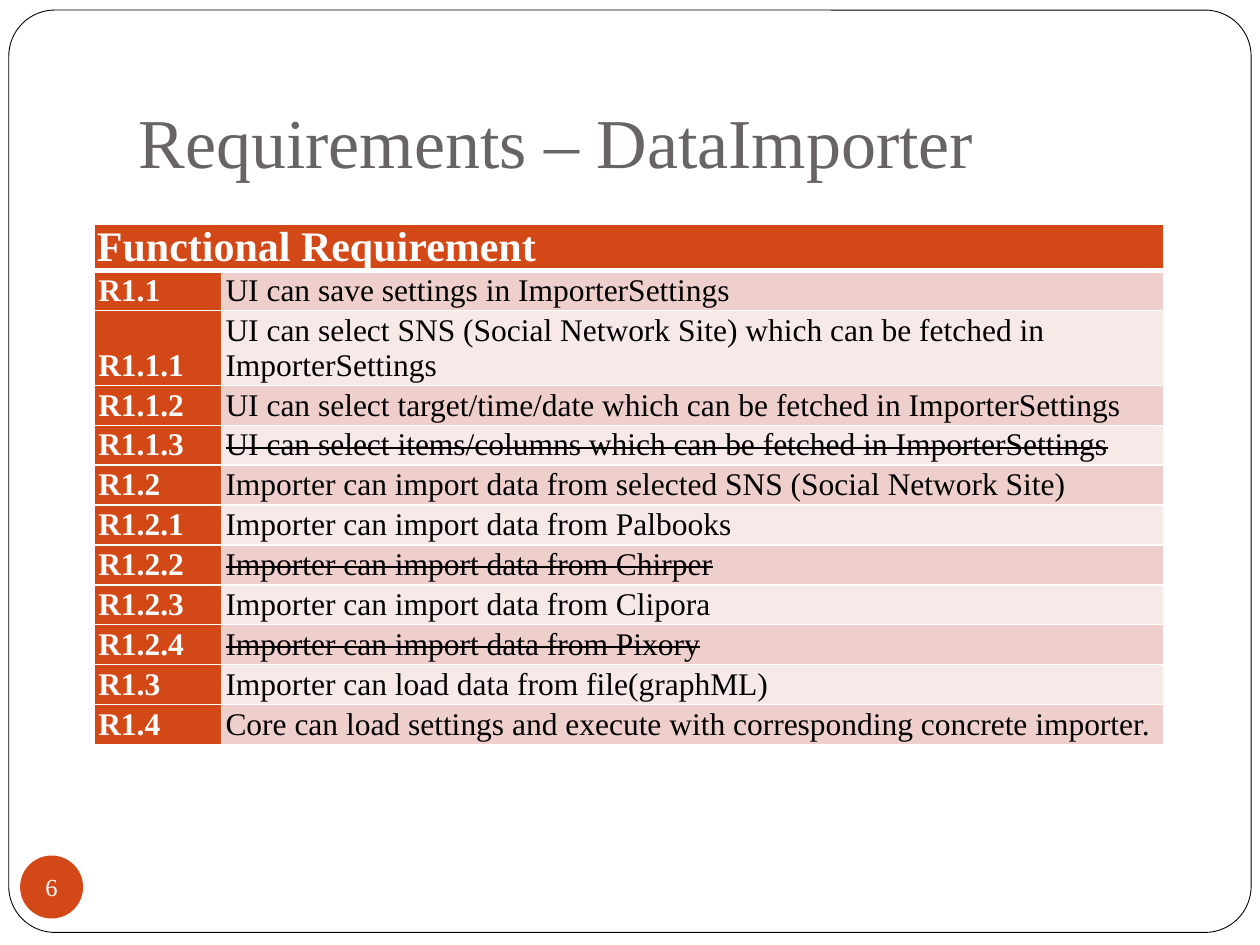
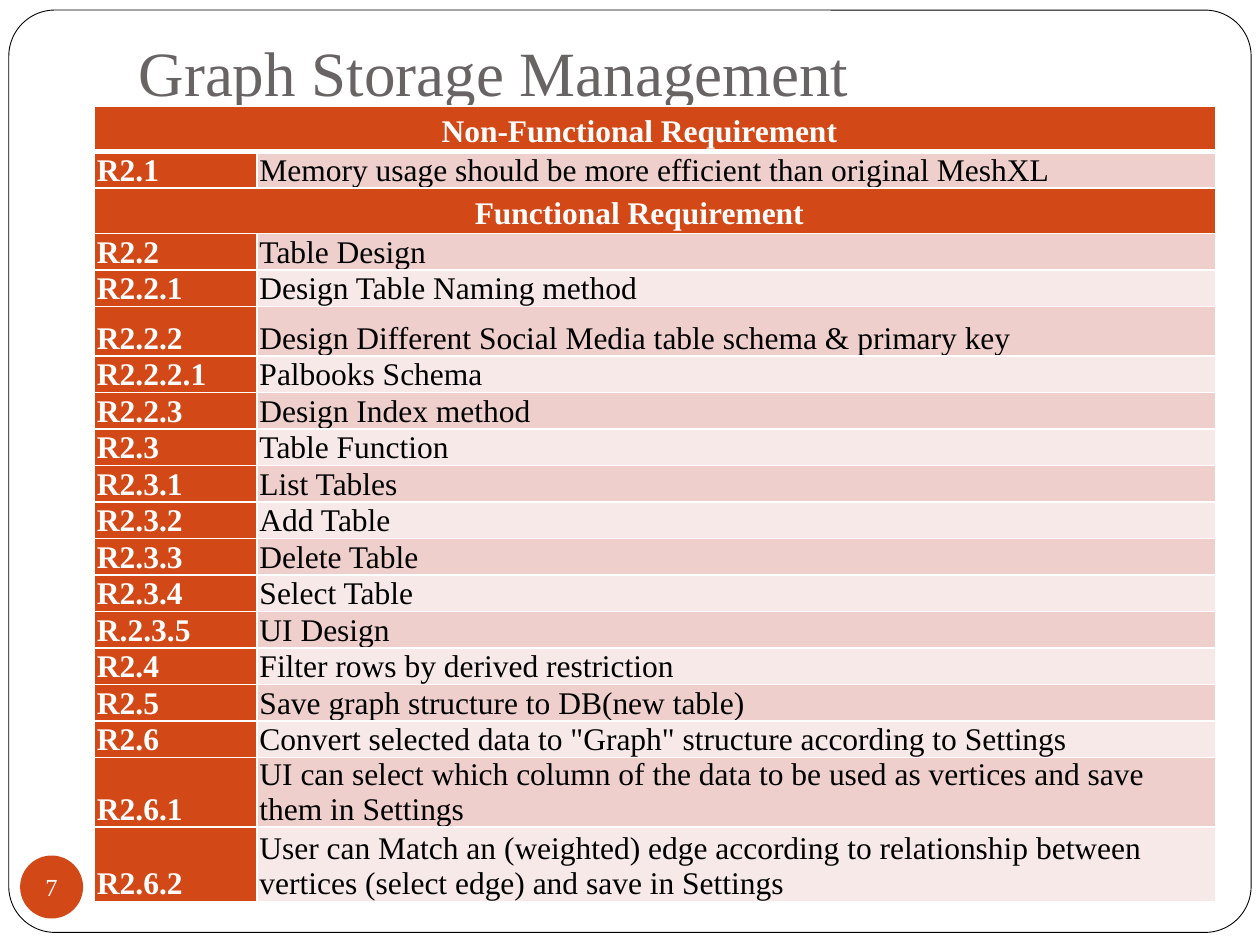
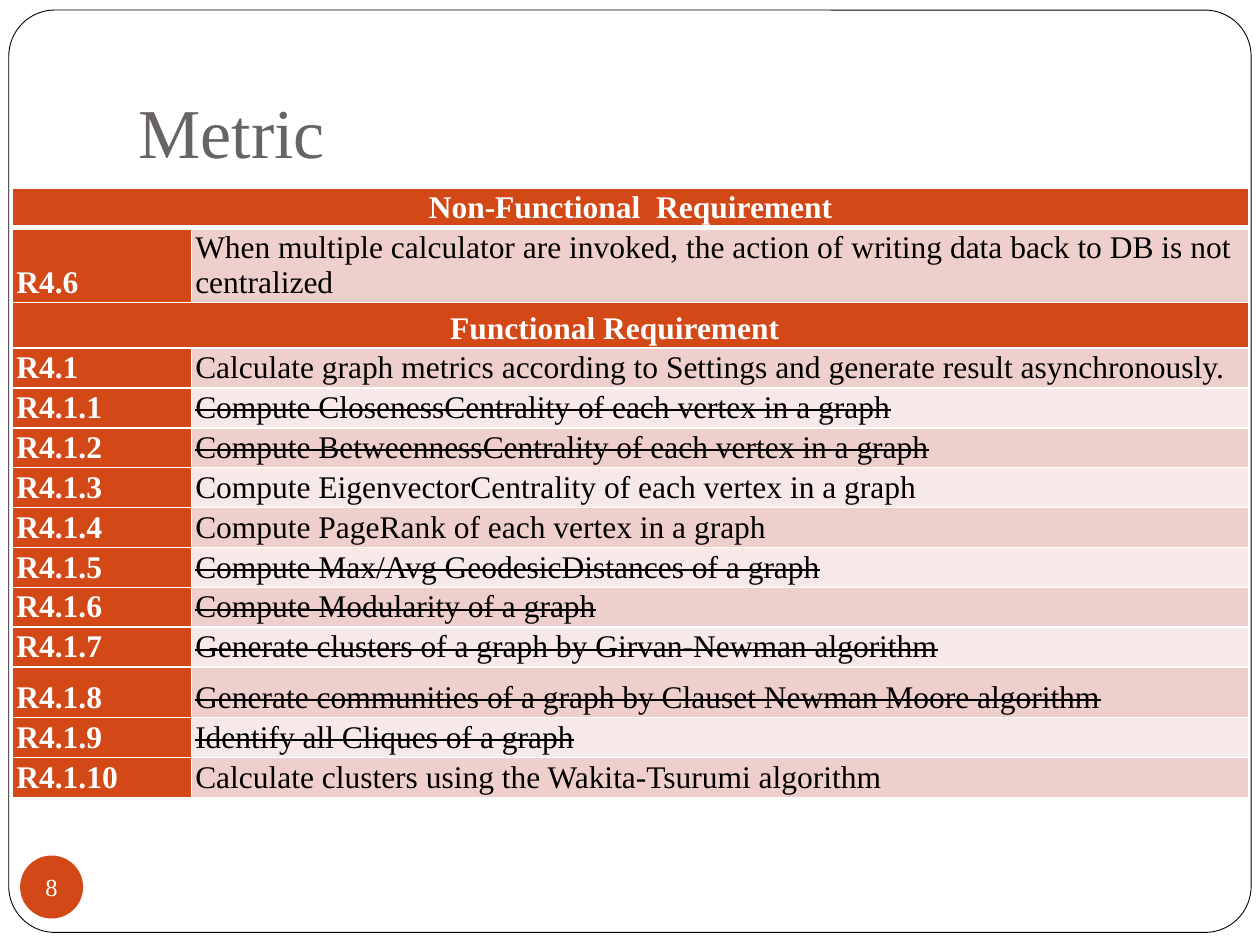
from dataclasses import dataclass

from lxml.etree import SubElement
from pptx import Presentation
from pptx.dml.color import RGBColor
from pptx.enum.shapes import MSO_SHAPE as Preset
from pptx.enum.text import MSO_ANCHOR as Anchor, MSO_AUTO_SIZE as AutoSize, PP_ALIGN as Align
from pptx.oxml.ns import qn
from pptx.util import Inches, Pt


# Theme
class Theme:
    font = "Times New Roman"
    accent, white, black, title = "D34817", "FFFFFF", "000000", "696464"
    bands = ("F7E9E8", "EFCFCC")
    table_size, number_size = 18, 14
    thin, thick = 1, 3


TIGHT, LOOSE = (0.02, 0), (0.03, 0.02)  # cell insets: sides, top and bottom


@dataclass
class Banner:
    text: str
    height: float = 0.36
    pad: tuple = TIGHT
    size: int = Theme.table_size
    align: Align = Align.CENTER


@dataclass
class Row:
    code: str
    text: str
    struck: bool = False
    height: float = 0.29


@dataclass
class Sheet:
    number: int
    title: str
    title_top: float
    title_size: int
    title_gap: float  # space below the title inside its box
    corner: tuple
    columns: tuple
    pad: tuple
    rows: list


# Content
IMPORTER_ROWS = [
    Banner("Functional Requirement", size=24, align=Align.LEFT),
    Row("R1.1", "UI can save settings in ImporterSettings"),
    Row("R1.1.1", "UI can select SNS (Social Network Site) which can be fetched in ImporterSettings"),
    Row("R1.1.2", "UI can select target/time/date which can be fetched in ImporterSettings"),
    Row("R1.1.3", "UI can select items/columns which can be fetched in ImporterSettings", True),
    Row("R1.2", "Importer can import data from selected SNS (Social Network Site)"),
    Row("R1.2.1", "Importer can import data from Palbooks"),
    Row("R1.2.2", "Importer can import data from Chirper", True),
    Row("R1.2.3", "Importer can import data from Clipora"),
    Row("R1.2.4", "Importer can import data from Pixory", True),
    Row("R1.3", "Importer can load data from file(graphML)"),
    Row("R1.4", "Core can load settings and execute with corresponding concrete importer."),
]
STORAGE_ROWS = [
    Banner("Non-Functional Requirement　"),
    Row("R2.1", "Memory usage should be more efficient than original MeshXL"),
    Banner("Functional Requirement　"),
    Row("R2.2", "Table Design"),
    Row("R2.2.1", "Design Table Naming method"),
    Row("R2.2.2", "Design Different Social Media table schema & primary key", height=0.39),
    Row("R2.2.2.1", "Palbooks Schema"),
    Row("R2.2.3", "Design Index method"),
    Row("R2.3", "Table Function"),
    Row("R2.3.1", "List Tables"),
    Row("R2.3.2", "Add Table"),
    Row("R2.3.3", "Delete Table"),
    Row("R2.3.4", "Select Table"),
    Row("R.2.3.5", "UI Design"),
    Row("R2.4", "Filter rows by derived restriction"),
    Row("R2.5", "Save graph structure to DB(new table)"),
    Row("R2.6", 'Convert selected data to "Graph" structure according to Settings'),
    Row("R2.6.1", "UI can select which column of the data to be used as vertices and save them in Settings"),
    Row("R2.6.2", "User can Match an (weighted) edge according to relationship between vertices "
        "(select edge) and save in Settings", height=0.59),
]
METRIC_ROWS = [
    Banner("Non-Functional  Requirement", height=0.3, pad=LOOSE),
    Row("R4.6", "When multiple calculator are invoked, the action of writing data back to DB "
        "is not centralized"),
    Banner("Functional Requirement　"),
    Row("R4.1", "Calculate graph metrics according to Settings and generate result asynchronously."),
    Row("R4.1.1", "Compute ClosenessCentrality of each vertex in a graph", True),
    Row("R4.1.2", "Compute BetweennessCentrality of each vertex in a graph", True),
    Row("R4.1.3", "Compute EigenvectorCentrality of each vertex in a graph"),
    Row("R4.1.4", "Compute PageRank of each vertex in a graph"),
    Row("R4.1.5", "Compute Max/Avg GeodesicDistances of a graph", True),
    Row("R4.1.6", "Compute Modularity of a graph", True),
    Row("R4.1.7", "Generate clusters of a graph by Girvan-Newman algorithm", True),
    Row("R4.1.8", "Generate communities of a graph by Clauset Newman Moore algorithm", True, 0.4),
    Row("R4.1.9", "Identify all Cliques of a graph", True),
    Row("R4.1.10", "Calculate clusters using the Wakita-Tsurumi algorithm"),
]
SHEETS = [
    Sheet(6, "Requirements – DataImporter", 0.3, 40, 0.1, (0.75, 1.78), (1.01, 7.48), LOOSE, IMPORTER_ROWS),
    Sheet(7, "Graph Storage Management", 0.3, 36, 0.68, (0.75, 0.84), (1.29, 7.61), TIGHT, STORAGE_ROWS),
    Sheet(8, "Metric", 0.22, 40, 0.1, (0.1, 1.49), (1.42, 8.39), LOOSE, METRIC_ROWS),
]


# Helpers
def colour(value):
    return RGBColor.from_string(value)


def paint(item, value):
    item.fill.solid()
    item.fill.fore_color.rgb = colour(value)


def write(para, text, size, ink, bold=False, struck=False, align=Align.LEFT):
    para.alignment = align
    span = para.add_run()
    span.text = text
    span.font.name, span.font.size, span.font.bold = Theme.font, Pt(size), bold
    span.font.color.rgb = colour(ink)
    if struck:
        span._r.get_or_add_rPr().set("strike", "sngStrike")


def set_margins(box, left, top, right, bottom):
    box.margin_left, box.margin_top = Inches(left), Inches(top)
    box.margin_right, box.margin_bottom = Inches(right), Inches(bottom)


def add_preset(page, preset, at, fill):
    shape = page.shapes.add_shape(preset, *map(Inches, at))
    shape.shadow.inherit = False
    paint(shape, fill)
    return shape


def border_cell(cell, bottom):
    props = cell._tc.get_or_add_tcPr()
    widths = {"lnL": Theme.thin, "lnR": Theme.thin, "lnT": Theme.thin, "lnB": bottom}
    for position, (side, width) in enumerate(widths.items()):
        line = SubElement(props, qn(f"a:{side}"), w=str(Pt(width)))
        SubElement(SubElement(line, qn("a:solidFill")), qn("a:srgbClr"), val=Theme.white)
        props.insert(position, line)


def format_cell(cell, fill, pad, bottom):
    paint(cell, fill)
    side, edge = pad
    set_margins(cell, side, edge, side, edge)
    cell.vertical_anchor = Anchor.BOTTOM
    border_cell(cell, bottom)


# Slide parts
def add_title(page, sheet):
    title = page.shapes.title
    title.left, title.top = Inches(1), Inches(sheet.title_top)
    title.width, title.height = Inches(8.5), Inches(1.25)
    box = title.text_frame
    box.word_wrap, box.auto_size, box.vertical_anchor = True, AutoSize.NONE, Anchor.BOTTOM
    set_margins(box, 0.1, 0.05, 0.1, sheet.title_gap)
    write(box.paragraphs[0], sheet.title, sheet.title_size, Theme.title)


def add_number(page, number):
    disc = add_preset(page, Preset.OVAL, (0.16, 6.79, 0.5, 0.5), Theme.accent)
    disc.line.fill.background()
    box = disc.text_frame
    box.word_wrap, box.vertical_anchor = False, Anchor.MIDDLE
    set_margins(box, 0, 0, 0, 0)
    write(box.paragraphs[0], str(number), Theme.number_size, Theme.white, align=Align.CENTER)


def add_requirements(page, sheet):
    size = sum(sheet.columns), sum(row.height for row in sheet.rows)
    frame = page.shapes.add_table(len(sheet.rows), 2, *map(Inches, sheet.corner + size))
    table = frame.table
    for column, width in zip(table.columns, sheet.columns):
        column.width = Inches(width)
    for index, row in enumerate(sheet.rows):
        table.rows[index].height = Inches(row.height)
        left, right = table.cell(index, 0), table.cell(index, 1)
        is_banner = isinstance(row, Banner)
        pad = row.pad if is_banner else sheet.pad
        bottom = Theme.thin if index else Theme.thick
        format_cell(left, Theme.accent, pad, bottom)
        format_cell(right, Theme.accent if is_banner else Theme.bands[index % 2], pad, bottom)
        para = left.text_frame.paragraphs[0]
        if is_banner:
            left.merge(right)
            write(para, row.text, row.size, Theme.white, bold=True, align=row.align)
        else:
            write(para, row.code, Theme.table_size, Theme.white, bold=True)
            write(right.text_frame.paragraphs[0], row.text, Theme.table_size, Theme.black,
                  struck=row.struck)


def add_frame(page, layout):
    """Draw the rounded page frame and hand it to the shared layout."""
    frame = add_preset(page, Preset.ROUNDED_RECTANGLE, (0.07, 0.08, 9.86, 7.32), Theme.white)
    frame.adjustments[0] = 0.05
    frame.line.color.rgb, frame.line.width = colour(Theme.black), Pt(0.5)
    layout.shapes.element.insert(2, frame.element)


def main():
    deck = Presentation()
    deck.slide_width, deck.slide_height = Inches(10), Inches(7.5)
    layout = deck.slide_layouts.get_by_name("Title Only")
    for sheet in SHEETS:
        page = deck.slides.add_slide(layout)
        add_title(page, sheet)
        add_number(page, sheet.number)
        add_requirements(page, sheet)
    add_frame(deck.slides[0], layout)
    deck.save("out.pptx")


if __name__ == "__main__":
    main()
